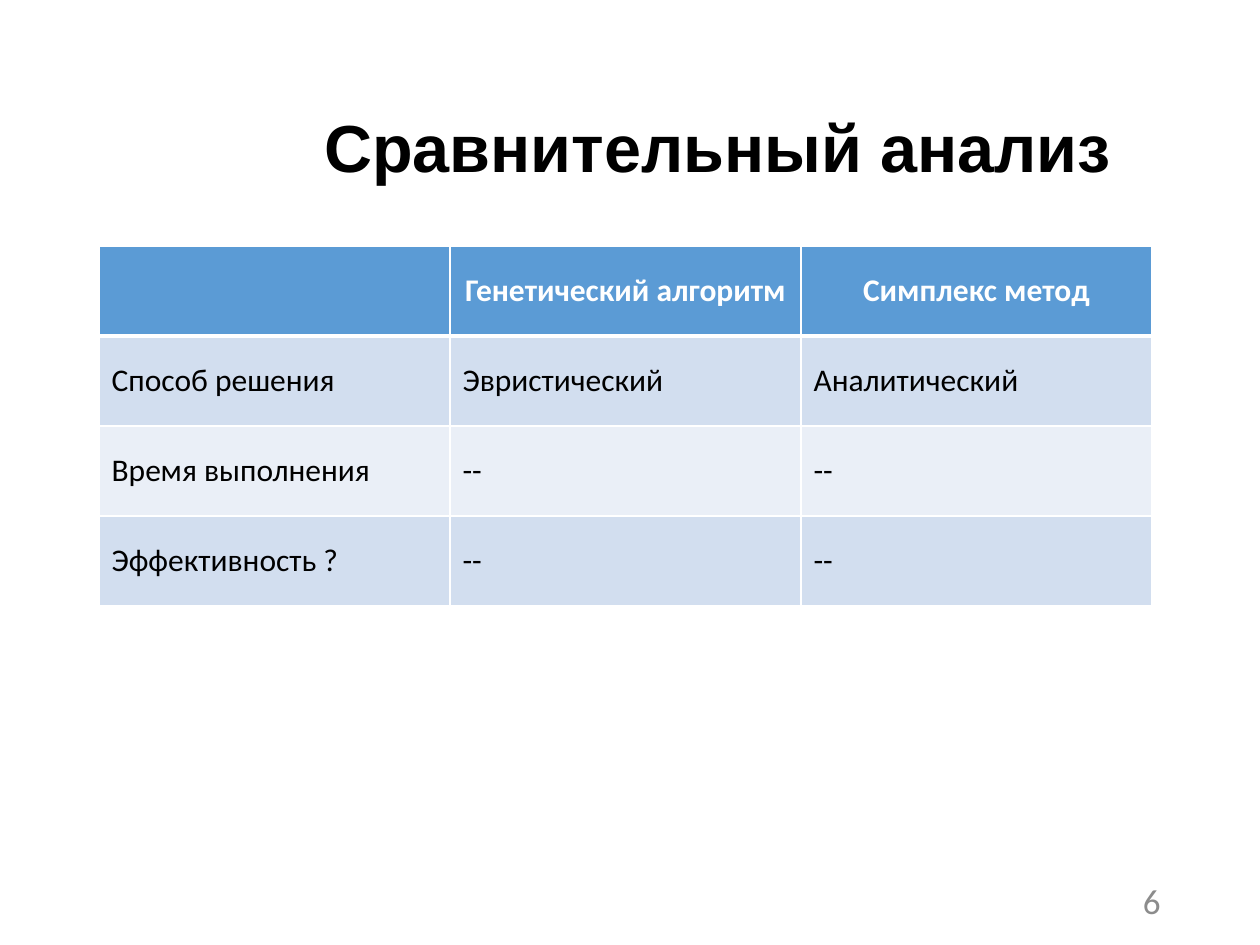
from dataclasses import dataclass

from lxml import etree
from pptx import Presentation
from pptx import util as u
from pptx.dml.color import RGBColor
from pptx.enum import text
from pptx.oxml import ns

SCALE = 914400 / 126
BLACK = RGBColor(0x00, 0x00, 0x00)
WHITE = RGBColor(0xFF, 0xFF, 0xFF)
GREY = RGBColor(0x8C, 0x8C, 0x8C)
BLUE = RGBColor(0x5B, 0x9B, 0xD5)
PALE = RGBColor(0xD2, 0xDE, 0xEF)
LIGHT = RGBColor(0xEA, 0xEF, 0xF7)
LEFT, MID, RIGHT = text.PP_ALIGN.LEFT, text.PP_ALIGN.CENTER, text.PP_ALIGN.RIGHT

COLS, ROW = 3, 90
ROWS = [
    ("", "Генетический алгоритм", "Симплекс метод"),
    ("Способ решения", "Эвристический", "Аналитический"),
    ("Время выполнения", "--", "--"),
    ("Эффективность ?", "--", "--"),
]


@dataclass
class Style:
    font: str
    size: int
    color: RGBColor
    bold: bool
    align: text.PP_ALIGN
    space: float = 1.0


@dataclass
class Label:
    words: str
    box: tuple[int, int, int, int]
    style: Style


HEAD = Style("Calibri", 18, WHITE, True, MID)
BODY = Style("Calibri", 18, BLACK, False, LEFT)
LABELS = [
    Label("Сравнительный анализ", (199, 71, 1038, 161),
          Style("Arial", 38, BLACK, True, MID, 0.9)),
    Label("6", (890, 876, 283, 50), Style("Calibri", 20, GREY, False, RIGHT)),
]


def px(n: int) -> u.Emu:
    return u.Emu(round(n * SCALE))


def write(frame, words: str, style: Style) -> None:
    frame.text = words
    para = frame.paragraphs[0]
    para.alignment = style.align
    para.line_spacing = style.space
    for run in para.runs:
        run.font.name = style.font
        run.font.size = u.Pt(style.size)
        run.font.bold = style.bold
        run.font.color.rgb = style.color


def draw_label(slide, label: Label) -> None:
    frame = slide.shapes.add_textbox(*map(px, label.box)).text_frame
    frame.word_wrap = True
    frame.vertical_anchor = text.MSO_ANCHOR.MIDDLE
    write(frame, label.words, label.style)


def edge(cell, top: int, base: int) -> None:
    props = cell._tc.get_or_add_tcPr()
    sides = {"lnL": 1, "lnR": 1, "lnT": top, "lnB": base}
    for spot, (side, width) in enumerate(sides.items()):
        line = etree.Element(ns.qn(f"a:{side}"), w=str(u.Pt(width)))
        fill = etree.SubElement(line, ns.qn("a:solidFill"))
        etree.SubElement(fill, ns.qn("a:srgbClr"), val=str(WHITE))
        props.insert(spot, line)


def draw_table(slide) -> None:
    box = map(px, (99, 246, COLS * 351, len(ROWS) * ROW))
    table = slide.shapes.add_table(len(ROWS), COLS, *box).table
    for r, words in enumerate(ROWS):
        table.rows[r].height = px(ROW)
        shade = BLUE if r == 0 else PALE if r % 2 else LIGHT
        for c, word in enumerate(words):
            cell = table.cell(r, c)
            cell.fill.solid()
            cell.fill.fore_color.rgb = shade
            cell.vertical_anchor = text.MSO_ANCHOR.MIDDLE
            write(cell.text_frame, word, BODY if r else HEAD)
            edge(cell, 3 if r == 1 else 1, 1 if r else 3)


def main() -> None:
    deck = Presentation()
    deck.slide_width, deck.slide_height = px(1260), px(945)
    slide = deck.slides.add_slide(deck.slide_layouts[6])
    for label in LABELS:
        draw_label(slide, label)
    draw_table(slide)
    deck.save("out.pptx")


if __name__ == "__main__":
    main()
